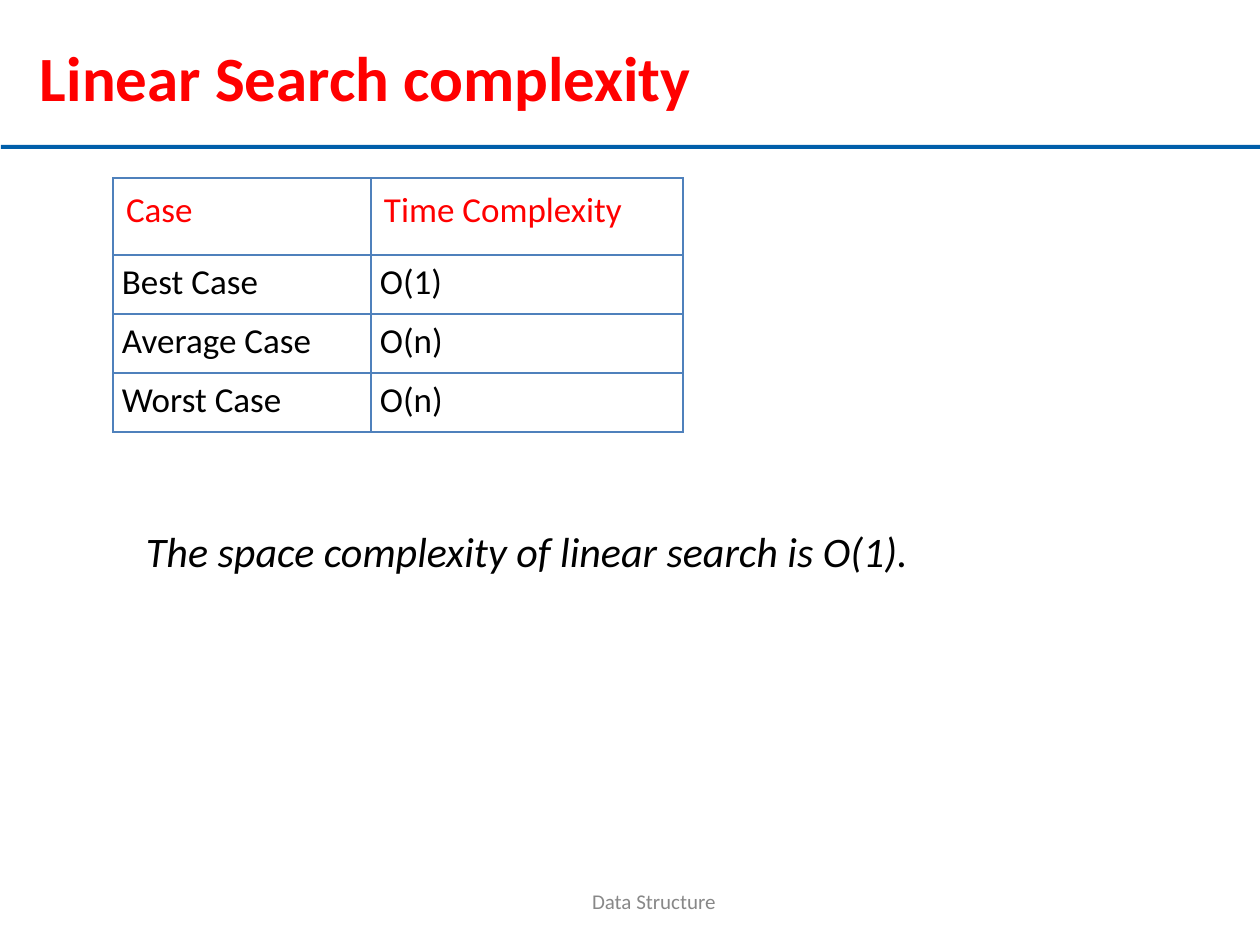
"""Build the slide on the complexity of linear search."""
from lxml.etree import SubElement
from pptx import Presentation
from pptx.dml.color import RGBColor
from pptx.enum.shapes import MSO_SHAPE
from pptx.oxml.ns import qn
from pptx.util import Emu, Pt

PX = 914400 // 126
COLORS = {"red": "FF0000", "black": "000000", "gray": "888888", "rule": "005FAA", "border": "4F81BC"}


def px(count):
    return Emu(count * PX)


def write(holder, text, size, color, left, top, before, bold=False, italic=False):
    frame = holder.text_frame
    frame.text = text
    frame.word_wrap = True
    holder.margin_left, holder.margin_top = px(left), px(top)
    holder.margin_right = holder.margin_bottom = 0
    paragraph = frame.paragraphs[0]
    paragraph.space_before = Pt(before)
    font = paragraph.runs[0].font
    font.name, font.size, font.bold, font.italic = "Calibri", Pt(size), bold, italic
    font.color.rgb = RGBColor.from_string(COLORS[color])
    return paragraph


presentation = Presentation()
presentation.slide_width, presentation.slide_height = px(1260), px(945)
slide = presentation.slides.add_slide(presentation.slide_layouts[6])

title = slide.shapes.add_textbox(px(35), px(18), px(1211), px(102)).text_frame
rule = slide.shapes.add_shape(MSO_SHAPE.RECTANGLE, px(1), px(145), px(1259), px(4))
rule.shadow.inherit = False
rule.fill.solid()
rule.fill.fore_color.rgb = RGBColor.from_string(COLORS["rule"])
rule.line.fill.background()

rows = [
    ("Case", "Time Complexity"),
    ("Best Case", "O(1)"),
    ("Average Case", "O(n)"),
    ("Worst Case", "O(n)"),
]
column_widths = [258, 312]
row_heights = [77, 59, 59, 59]
table = slide.shapes.add_table(
    len(rows), len(column_widths), px(113), px(178), px(sum(column_widths)), px(sum(row_heights))
).table
table.first_row = table.horz_banding = False
for column, width in zip(table.columns, column_widths):
    column.width = px(width)
for row_index, (texts, height) in enumerate(zip(rows, row_heights)):
    table.rows[row_index].height = px(height)
    for column_index, text in enumerate(texts):
        cell = table.cell(row_index, column_index)
        if row_index == 0:
            write(cell, text, 20, "red", 13, 11, 6.2)
        else:
            write(cell, text, 20, "black", 9, 6, 3.9)
        properties = cell._tc.get_or_add_tcPr()
        for side in ("a:lnL", "a:lnR", "a:lnT", "a:lnB"):
            border = SubElement(properties, qn(side), w=str(Pt(1)))
            fill = SubElement(border, qn("a:solidFill"))
            SubElement(fill, qn("a:srgbClr"), val=COLORS["border"])
        cell.fill.background()

footer = slide.shapes.add_textbox(px(591), px(892), px(132), px(24)).text_frame
summary = slide.shapes.add_textbox(px(145), px(524), px(766), px(54)).text_frame
for frame, text, size, color, left, top, before, bold, italic in [
    (title, "Linear Search complexity", 36, "red", 5, 21, 1.1, True, False),
    (footer, "Data Structure", 12, "gray", 1, 0, 0, False, False),
    (summary, "The space complexity of linear search is O(1).", 24, "black", 1, 1, 1, False, True),
]:
    frame.text = text
    frame.word_wrap = True
    frame.margin_left, frame.margin_top = px(left), px(top)
    frame.margin_right = frame.margin_bottom = 0
    paragraph = frame.paragraphs[0]
    paragraph.space_before = Pt(before)
    font = paragraph.runs[0].font
    font.name, font.size, font.bold, font.italic = "Calibri", Pt(size), bold, italic
    font.color.rgb = RGBColor.from_string(COLORS[color])
footer.paragraphs[0].line_spacing = Pt(12.4)

presentation.save("out.pptx")
